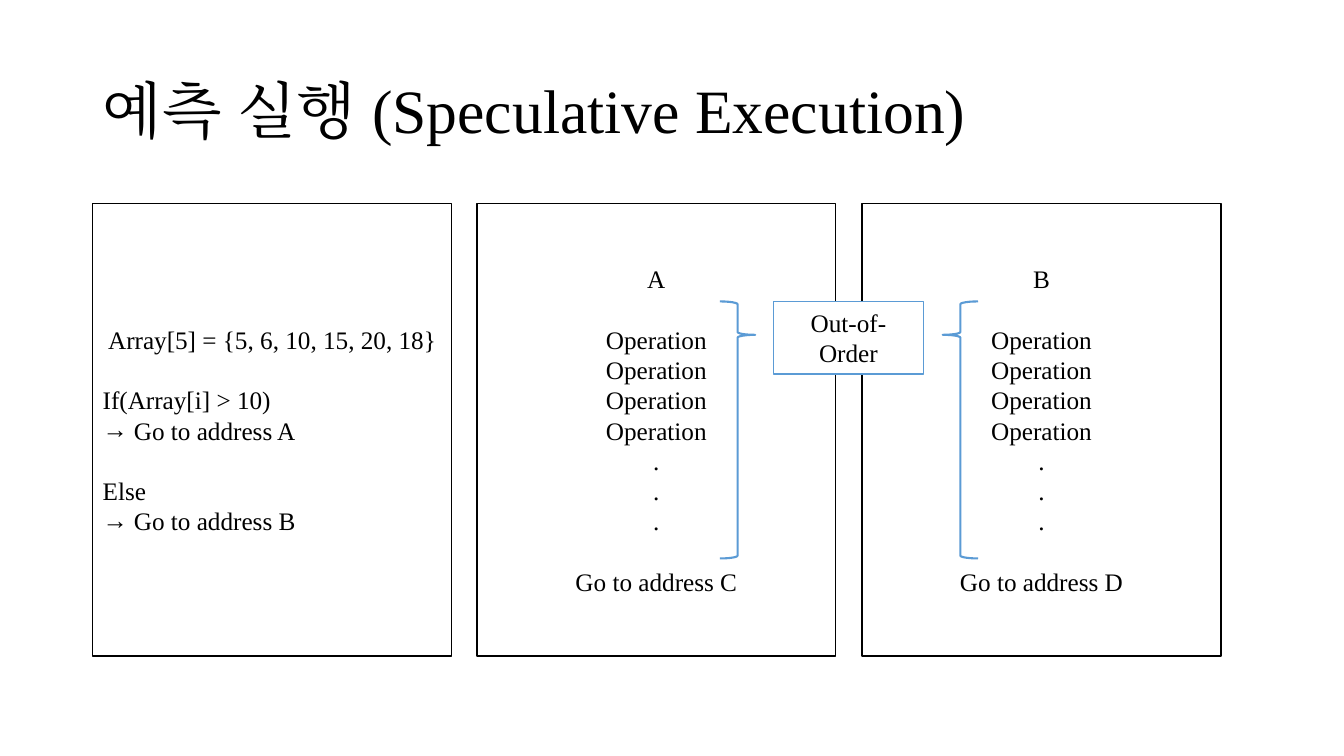
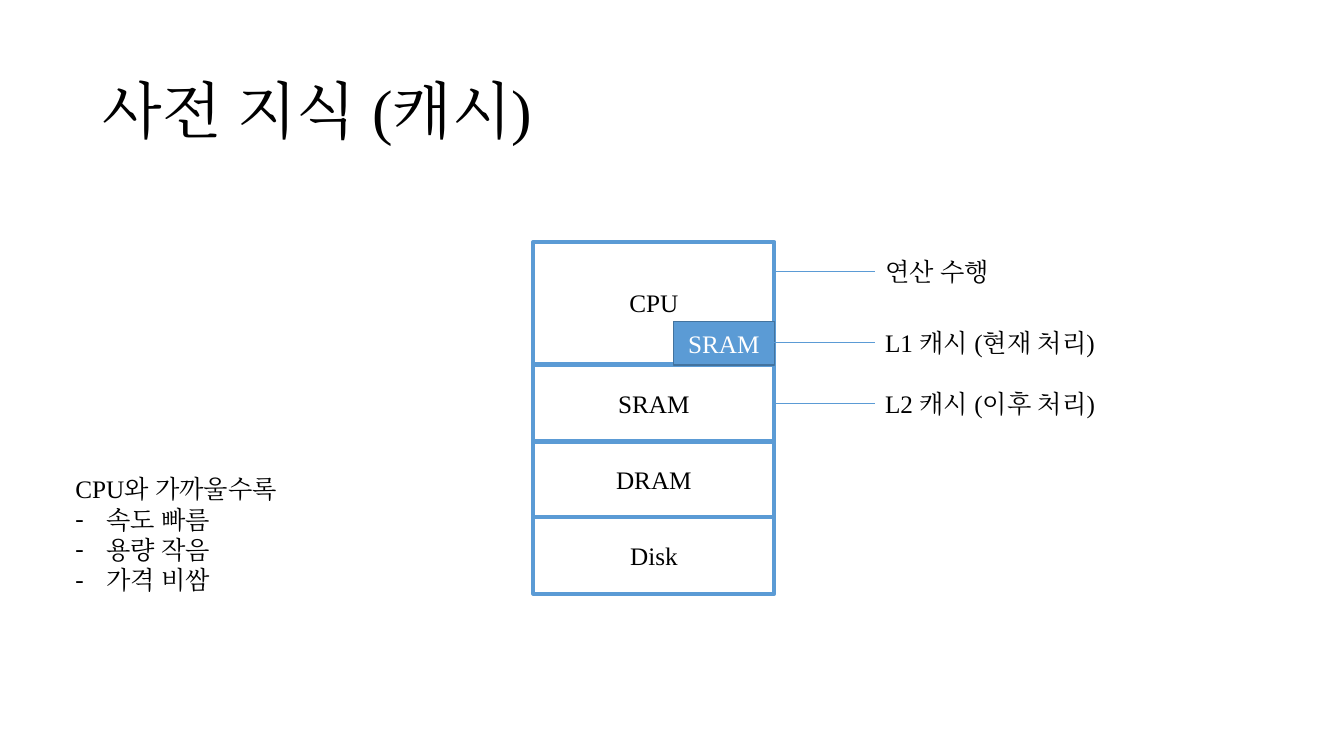
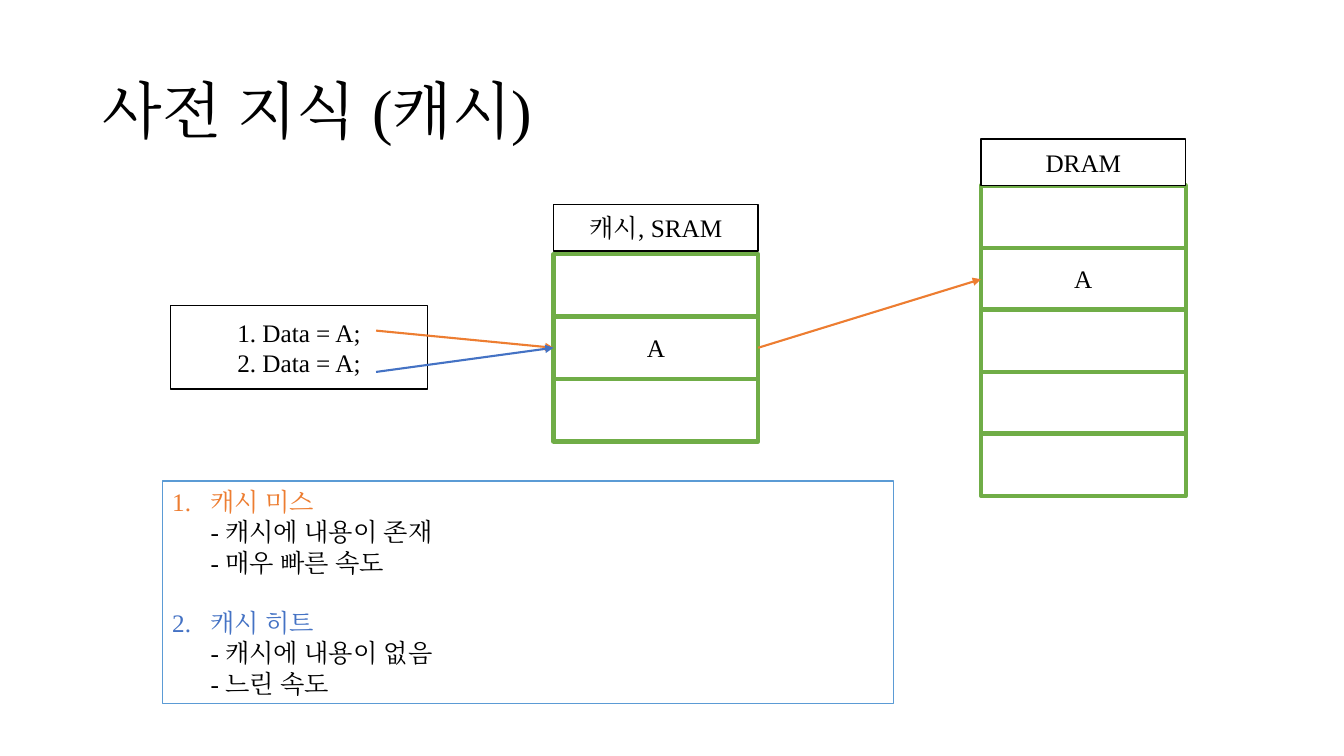
from dataclasses import dataclass

from lxml import etree
from pptx import Presentation
from pptx.dml.color import RGBColor
from pptx.enum.shapes import MSO_CONNECTOR, MSO_SHAPE
from pptx.enum.text import MSO_ANCHOR, PP_ALIGN
from pptx.oxml.ns import qn
from pptx.util import Pt

RECTANGLE = MSO_SHAPE.RECTANGLE
LEFT_BRACE = MSO_SHAPE.LEFT_BRACE
STRAIGHT = MSO_CONNECTOR.STRAIGHT
TOP = MSO_ANCHOR.TOP
MIDDLE = MSO_ANCHOR.MIDDLE
LEFT = PP_ALIGN.LEFT
CENTER = PP_ALIGN.CENTER
EMU_PER_PX = 9144
BLANK_LAYOUT = 6
NUMBERED = "1."


@dataclass(frozen=True)
class Theme:
    black: RGBColor = RGBColor(0x00, 0x00, 0x00)
    white: RGBColor = RGBColor(0xFF, 0xFF, 0xFF)
    sky: RGBColor = RGBColor(0x5B, 0x9B, 0xD5)
    steel: RGBColor = RGBColor(0x43, 0x73, 0x9E)
    green: RGBColor = RGBColor(0x70, 0xAD, 0x47)
    orange: RGBColor = RGBColor(0xED, 0x7D, 0x31)
    blue: RGBColor = RGBColor(0x44, 0x72, 0xC4)
    font: str = "Times New Roman"
    number_font: str = "+mj-lt"
    title_size: int = 44
    body_size: int = 18
    blank_line: float = 21.6


THEME = Theme()


@dataclass(frozen=True)
class Area:
    left: int
    top: int
    width: int
    height: int

    def emu(self) -> tuple[int, ...]:
        return tuple(px(value) for value in (self.left, self.top, self.width, self.height))


@dataclass(frozen=True)
class Line:
    text: str
    align: PP_ALIGN = LEFT
    bullet: str = ""
    indent: int = 0
    gap: bool = False
    first_color: RGBColor | None = None


@dataclass(frozen=True)
class Branch:
    left: int
    name: str
    target: str


@dataclass(frozen=True)
class Brace:
    left: int
    rotation: int
    point: float


@dataclass(frozen=True)
class Callout:
    text: str
    middle: int
    width: int


@dataclass(frozen=True)
class Memory:
    name: str
    header: Area
    top: int
    height: int
    cells: tuple[str, ...]


@dataclass(frozen=True)
class Arrow:
    start: tuple[int, int]
    end: tuple[int, int]
    color: RGBColor


def px(value: int) -> int:
    return value * EMU_PER_PX


def add_bullet(paragraph, bullet: str, indent: int) -> None:
    properties = paragraph._p.get_or_add_pPr()
    properties.set("marL", str(px(indent)))
    properties.set("indent", str(-px(indent)))
    font = etree.SubElement(properties, qn("a:buFont"))
    if bullet == NUMBERED:
        font.set("typeface", THEME.number_font)
        etree.SubElement(properties, qn("a:buAutoNum")).set("type", "arabicPeriod")
    else:
        font.set("typeface", THEME.font)
        etree.SubElement(properties, qn("a:buChar")).set("char", bullet)


def write_text(paragraph, text: str, *, size: int = THEME.body_size,
               color: RGBColor = THEME.black, first_color: RGBColor | None = None,
               align: PP_ALIGN = LEFT, bullet: str = "", indent: int = 0,
               gap: bool = False, line_spacing: float | None = None) -> None:
    paragraph.alignment = align
    if line_spacing:
        paragraph.line_spacing = line_spacing
    if gap:
        paragraph.space_before = Pt(THEME.blank_line)
    if bullet:
        add_bullet(paragraph, bullet, indent)
    for index, part in enumerate(text.split("\n")):
        if index:
            paragraph.add_line_break()
        run = paragraph.add_run()
        run.text = part
        run.font.size = Pt(size)
        run.font.name = THEME.font
        run.font.color.rgb = first_color if first_color and not index else color
        east_asian = etree.SubElement(run._r.get_or_add_rPr(), qn("a:ea"))
        east_asian.set("typeface", THEME.font)
    for line_break in paragraph._p.findall(qn("a:br")):
        etree.SubElement(line_break, qn("a:rPr")).set("sz", str(size * 100))


def write_lines(shape, lines: list[Line], anchor: MSO_ANCHOR,
                color: RGBColor = THEME.black) -> None:
    frame = shape.text_frame
    frame.word_wrap = True
    frame.vertical_anchor = anchor
    for index, line in enumerate(lines):
        paragraph = frame.add_paragraph() if index else frame.paragraphs[0]
        write_text(paragraph, line.text, color=color, first_color=line.first_color,
                   align=line.align, bullet=line.bullet, indent=line.indent, gap=line.gap)


def add_box(slide, area: Area, lines: list[Line], *, line: RGBColor = THEME.black,
            weight: float = 1, fill: RGBColor = THEME.white,
            color: RGBColor = THEME.black) -> None:
    shape = slide.shapes.add_shape(RECTANGLE, *area.emu())
    shape.shadow.inherit = False
    shape.fill.solid()
    shape.fill.fore_color.rgb = fill
    shape.line.color.rgb = line
    shape.line.width = Pt(weight)
    write_lines(shape, lines, MIDDLE, color)


def add_label(slide, area: Area, lines: list[Line]) -> None:
    write_lines(slide.shapes.add_textbox(*area.emu()), lines, TOP)


def add_brace(slide, brace: Brace) -> None:
    shape = slide.shapes.add_shape(LEFT_BRACE, *Area(brace.left, 299, 35, 255).emu())
    shape.shadow.inherit = False
    shape.fill.background()
    shape.line.color.rgb = THEME.sky
    shape.line.width = Pt(1.5)
    shape.rotation = brace.rotation
    shape.adjustments[0] = 0.08
    shape.adjustments[1] = brace.point


def add_line(slide, start: tuple[int, int], end: tuple[int, int], *,
             color: RGBColor, weight: float, arrow: bool = False) -> None:
    connector = slide.shapes.add_connector(STRAIGHT, *map(px, start + end))
    connector.line.color.rgb = color
    connector.line.width = Pt(weight)
    if arrow:
        outline = connector.line._get_or_add_ln()
        etree.SubElement(outline, qn("a:tailEnd")).set("type", "triangle")
    etree.SubElement(connector._element.spPr, qn("a:effectLst"))


def add_stack(slide, area: Area, names: tuple[str, ...], color: RGBColor) -> None:
    edges = [area.top + round(index * area.height / len(names))
             for index in range(len(names) + 1)]
    for name, top, bottom in zip(names, edges, edges[1:]):
        lines = [Line(name, CENTER)] if name else []
        add_box(slide, Area(area.left, top, area.width, bottom - top), lines,
                line=color, weight=3)


def add_titled_slide(presentation, title: str):
    slide = presentation.slides.add_slide(presentation.slide_layouts[BLANK_LAYOUT])
    box = slide.shapes.add_textbox(*Area(92, 40, 1150, 145).emu())
    box.text_frame.word_wrap = True
    box.text_frame.vertical_anchor = MIDDLE
    write_text(box.text_frame.paragraphs[0], title, size=THEME.title_size, line_spacing=0.9)
    return slide


def build_speculative_execution(presentation) -> None:
    slide = add_titled_slide(presentation, "예측 실행 (Speculative Execution)")
    add_box(slide, Area(92, 202, 356, 449), [
        Line("Array[5] = {5, 6, 10, 15, 20, 18}", CENTER),
        Line("If(Array[i] > 10)", gap=True),
        Line("Go to address A", bullet="→", indent=31),
        Line("Else", gap=True),
        Line("Go to address B", bullet="→", indent=31),
    ])
    for branch in (Branch(473, "A", "C"), Branch(855, "B", "D")):
        steps = ["Operation"] * 4 + ["."] * 3
        add_box(slide, Area(branch.left, 202, 356, 449), [
            Line(branch.name, CENTER),
            *(Line(step, CENTER, gap=index == 0) for index, step in enumerate(steps)),
            Line(f"Go to address {branch.target}", CENTER, gap=True),
        ])
    for brace in (Brace(714, 180, 0.87), Brace(935, 0, 0.13)):
        add_brace(slide, brace)
    add_box(slide, Area(767, 299, 149, 72), [Line("Out-of-Order", CENTER)], line=THEME.sky)


def build_memory_hierarchy(presentation) -> None:
    slide = add_titled_slide(presentation, "사전 지식 (캐시)")
    add_stack(slide, Area(529, 240, 239, 121), ("CPU",), THEME.sky)
    add_stack(slide, Area(529, 362, 239, 227), ("SRAM", "DRAM", "Disk"), THEME.sky)
    add_box(slide, Area(668, 319, 100, 43), [Line("SRAM", CENTER)],
            line=THEME.steel, fill=THEME.sky, color=THEME.white)
    for callout in (
        Callout("연산 수행", 269, 132),
        Callout("L1 캐시 (현재 처리)", 340, 294),
        Callout("L2 캐시 (이후 처리)", 400, 231),
    ):
        add_line(slide, (768, callout.middle), (868, callout.middle),
                 color=THEME.sky, weight=0.5)
        add_label(slide, Area(868, callout.middle - 20, callout.width, 40),
                  [Line(callout.text)])
    traits = ("속도 빠름", "용량 작음", "가격 비쌈")
    add_label(slide, Area(65, 465, 334, 131), [
        Line("CPU와 가까울수록"),
        *(Line(trait, bullet="-", indent=31) for trait in traits),
    ])


def build_cache_lookup(presentation) -> None:
    slide = add_titled_slide(presentation, "사전 지식 (캐시)")
    for memory in (
        Memory("캐시, SRAM", Area(549, 203, 203, 46), 252, 186, ("", "A", "")),
        Memory("DRAM", Area(973, 138, 203, 46), 184, 308, ("", "A", "", "", "")),
    ):
        header = memory.header
        add_stack(slide, Area(header.left, memory.top, header.width, memory.height),
                  memory.cells, THEME.green)
        add_box(slide, header, [Line(memory.name, CENTER)])
    add_box(slide, Area(169, 303, 255, 83),
            [Line(f"{number}. Data = A;", CENTER) for number in (1, 2)])
    for arrow in (
        Arrow((373, 328), (549, 345), THEME.orange),
        Arrow((752, 345), (973, 277), THEME.orange),
        Arrow((373, 369), (549, 345), THEME.blue),
    ):
        add_line(slide, arrow.start, arrow.end, color=arrow.color, weight=1.5, arrow=True)
    add_box(slide, Area(161, 477, 725, 221), [
        Line("캐시 미스\n- 캐시에 내용이 존재\n- 매우 빠른 속도", bullet=NUMBERED, indent=38,
             first_color=THEME.orange),
        Line("캐시 히트\n- 캐시에 내용이 없음\n- 느린 속도", bullet=NUMBERED, indent=38,
             gap=True, first_color=THEME.blue),
    ], line=THEME.sky)


def main() -> None:
    presentation = Presentation()
    presentation.slide_width = px(1333)
    presentation.slide_height = px(750)
    build_speculative_execution(presentation)
    build_memory_hierarchy(presentation)
    build_cache_lookup(presentation)
    presentation.save("out.pptx")


if __name__ == "__main__":
    main()
